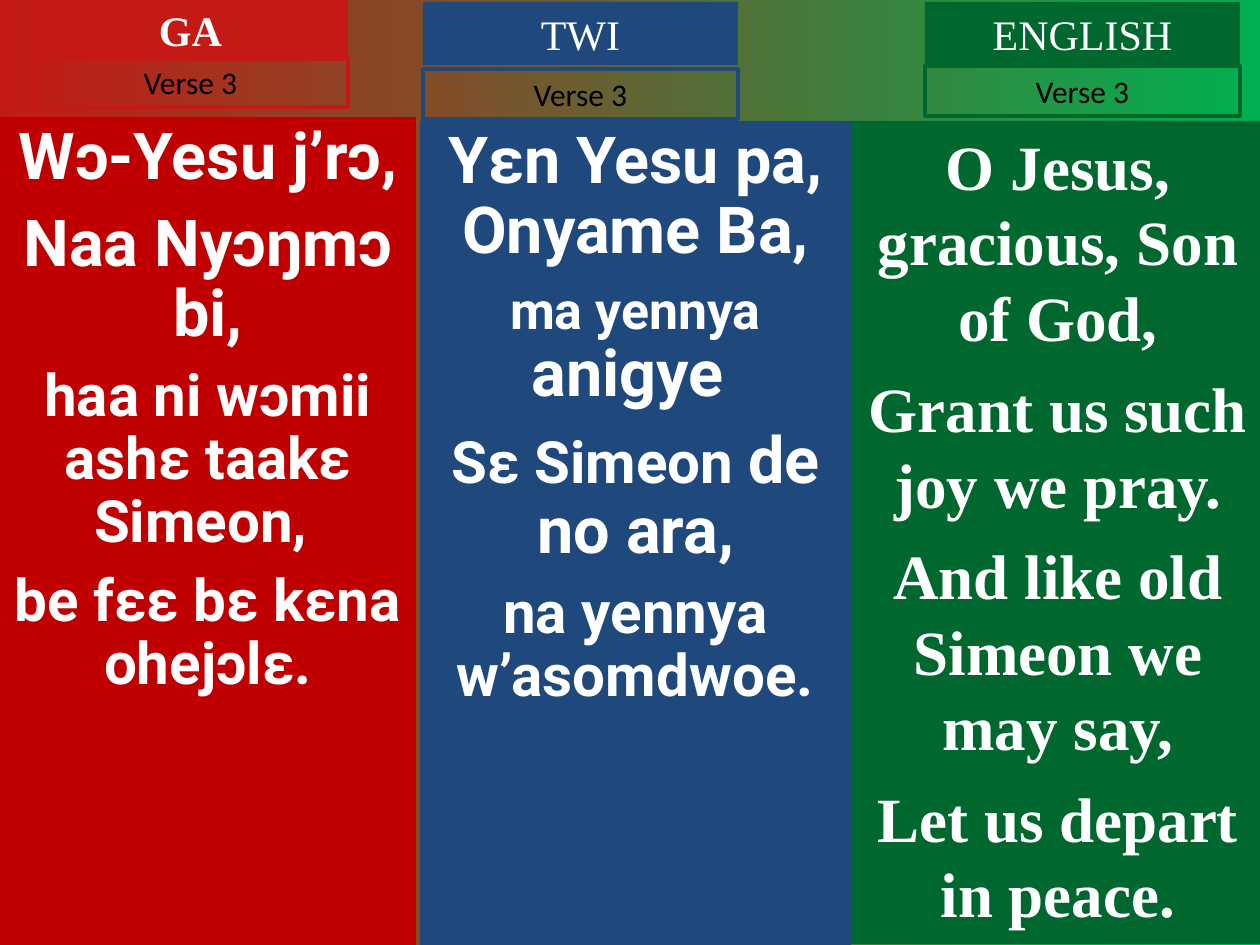
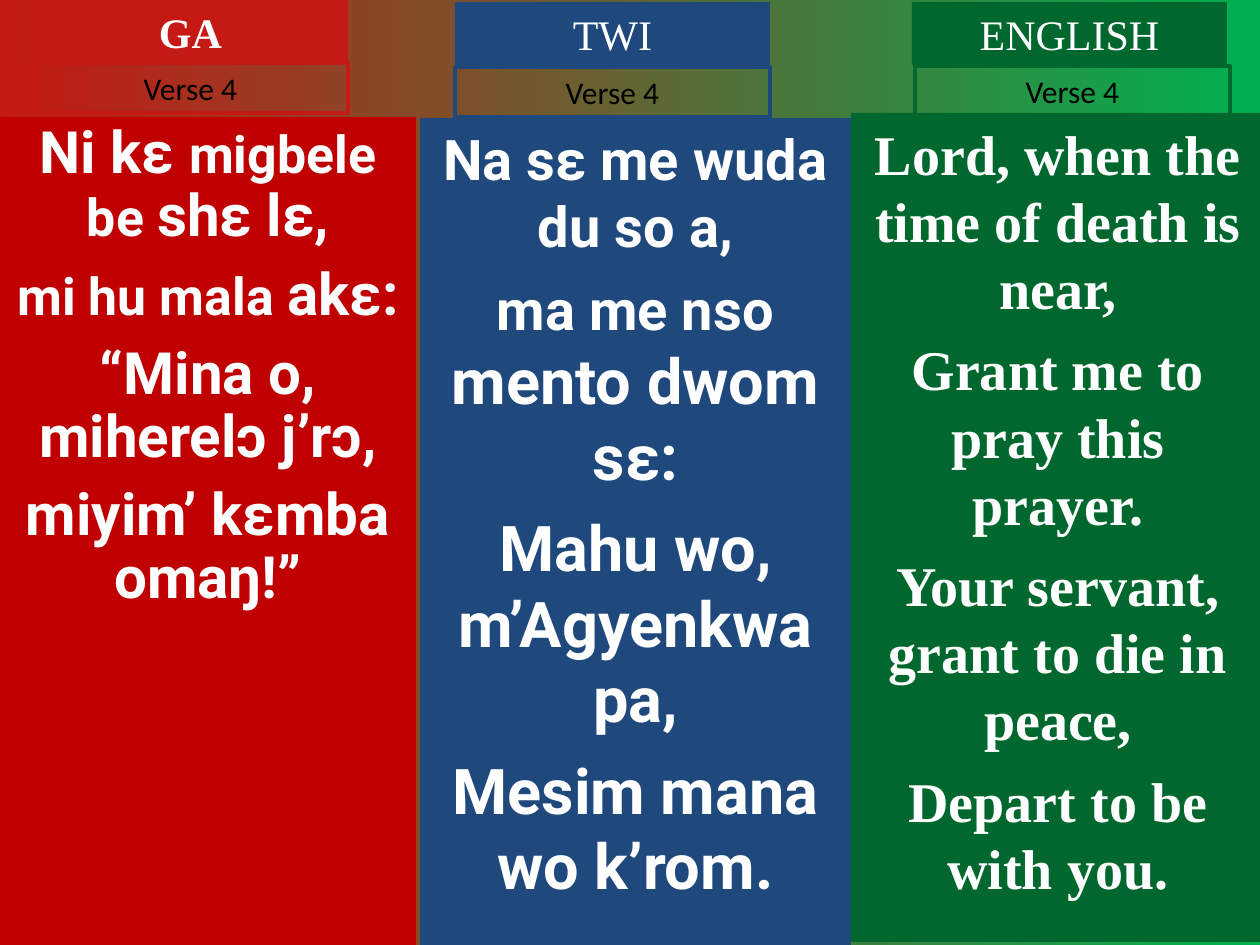
from pptx import Presentation
from pptx.dml.color import RGBColor
from pptx.enum.shapes import MSO_SHAPE
from pptx.enum.text import MSO_ANCHOR, MSO_AUTO_SIZE, PP_ALIGN
from pptx.oxml.ns import qn
from pptx.util import Emu, Pt
from lxml import etree

PX = 914400 / 126
RED, CRIMSON, BLUE, GREEN, LIME = "C51915", "C00000", "1F497D", "00682F", "00B050"
WHITE, BLACK = "FFFFFF", "000000"
SERIF, SANS, LABEL = "Times New Roman", "Roboto", "Calibri"
HEAD_W, HEAD_H, VERSE_H = 315, 63, 50

VERSES = [
    {
        "label": "Verse 3",
        "ga": [
            [("Wɔ-Yesu j’rɔ,", 37)],
            [("Naa Nyɔŋmɔ bi,", 37)],
            [("haa ni wɔmii ashɛ taakɛ Simeon, ", 33.3)],
            [("be fɛɛ bɛ kɛna ohejɔlɛ.", 33.3)],
        ],
        "twi": [
            [("Yɛn Yesu pa, Onyame Ba,", 37)],
            [("ma yennya ", 29.6), ("anigye ", 37)],
            [("Sɛ Simeon ", 33.3), ("de no ara,", 37)],
            [("na yennya w’asomdwoe.", 33.3)],
        ],
        "english": [
            [("O Jesus, gracious, Son of God,", 36)],
            [("Grant us such joy we pray.", 36)],
            [("And like old Simeon we may say,", 36)],
            [("Let us depart in peace.", 36)],
        ],
        "twi_spacing": 0.9,
        "twi_box": (420, 121, 431, 824),
        "english_box": (851, 121, 414, 823),
        "heads": [(33, -2), (423, 2), (925, 2)],
        "labels": [(33, 57), (423, 69), (925, 66)],
    },
    {
        "label": "Verse 4",
        "ga": [
            [("Ni kɛ ", 33.3), ("migbele be ", 29.6), ("shɛ lɛ,", 33.3)],
            [("mi hu mala ", 29.6), ("akɛ:", 33.3)],
            [("“Mina o, miherelɔ j’rɔ,", 33.3)],
            [("miyim’ kɛmba omaŋ!”", 33.3)],
        ],
        "twi": [
            [("Na sɛ me wuda du so a,", 32)],
            [("ma me nso ", 32), ("mento dwom sɛ:", 36)],
            [("Mahu wo, m’Agyenkwa pa,", 36)],
            [("Mesim mana wo k’rom.", 36)],
        ],
        "english": [
            [("Lord, when the time of death is near,", 32)],
            [("Grant me to pray this prayer.", 32)],
            [("Your servant, grant to die in peace,", 32)],
            [("Depart to be with you.", 32)],
        ],
        "twi_spacing": 1.0,
        "twi_box": (420, 118, 431, 827),
        "english_box": (851, 113, 414, 829),
        "heads": [(33, 0), (455, 2), (912, 2)],
        "labels": [(33, 63), (455, 67), (915, 66)],
    },
]


def px(n):
    return Emu(round(n * PX))


def rgb(value):
    return RGBColor.from_string(value)


def set_background(s):
    fill = s.background.fill
    fill.gradient()
    fill.gradient_angle = 0
    for stop, color, position in zip(fill.gradient_stops, (RED, LIME), (0, 1)):
        stop.color.rgb = rgb(color)
        stop.position = position


def place(sp, box):
    sp.left, sp.top, sp.width, sp.height = map(px, box)


def style_run(r, font, size, color, bold):
    r.font.name = font
    r.font.size = Pt(size)
    r.font.color.rgb = rgb(color)
    r.font.bold = bold


def prepare_frame(tf):
    tf.word_wrap = True
    tf.auto_size = MSO_AUTO_SIZE.NONE
    tf.vertical_anchor = MSO_ANCHOR.TOP


def add_rect(s, box):
    sp = s.shapes.add_shape(MSO_SHAPE.RECTANGLE, *map(px, box))
    sp.shadow.inherit = False
    sp.fill.background()
    sp.line.fill.background()
    prepare_frame(sp.text_frame)
    return sp


def add_caption(s, box, text, font, size, color, bold=False):
    sp = add_rect(s, box)
    sp.text_frame.text = text
    p = sp.text_frame.paragraphs[0]
    p.alignment = PP_ALIGN.CENTER
    style_run(p.runs[0], font, size, color, bold)
    return sp


def add_heading(s, at, text, color, bold):
    sp = add_caption(s, (*at, HEAD_W, HEAD_H), text, SERIF, 24, WHITE, bold)
    sp.fill.solid()
    sp.fill.fore_color.rgb = rgb(color)


def add_verse_label(s, at, text, color):
    sp = add_caption(s, (*at, HEAD_W, VERSE_H), text, LABEL, 18, BLACK)
    sp.line.color.rgb = rgb(color)
    sp.line.width = Pt(2.25)


def remove_bullet(p):
    pPr = p._p.get_or_add_pPr()
    pPr.set("marL", "0")
    pPr.set("indent", "0")
    etree.SubElement(pPr, qn("a:buNone"))


def fill_lyrics(sp, box, lines, color, font, spacing):
    place(sp, box)
    sp.fill.solid()
    sp.fill.fore_color.rgb = rgb(color)
    tf = sp.text_frame
    prepare_frame(tf)
    for i, line in enumerate(lines):
        p = tf.paragraphs[0] if i == 0 else tf.add_paragraph()
        remove_bullet(p)
        p.alignment = PP_ALIGN.CENTER
        p.line_spacing = spacing
        largest = max(size for _, size in line)
        p.space_before = Pt(round(largest * 0.26) if i else 0)
        for text, size in line:
            r = p.add_run()
            r.text = text
            style_run(r, font, size, WHITE, True)


def build_slide(prs, verse):
    s = prs.slides.add_slide(prs.slide_layouts.get_by_name("Two Content"))
    set_background(s)
    title = s.shapes.title._element
    title.getparent().remove(title)
    ga, twi = s.placeholders[1], s.placeholders[2]
    for sp in list(s.placeholders):
        if sp.placeholder_format.idx not in (1, 2):
            sp._element.getparent().remove(sp._element)
    fill_lyrics(ga, (0, 117, 416, 828), verse["ga"], CRIMSON, SANS, 0.9)
    fill_lyrics(twi, verse["twi_box"], verse["twi"], BLUE, SANS, verse["twi_spacing"])
    english = add_rect(s, verse["english_box"])
    fill_lyrics(english, verse["english_box"], verse["english"], GREEN, SERIF, 1.0)
    languages = [("GA", RED), ("TWI", BLUE), ("ENGLISH", GREEN)]
    for (name, color), head, label in zip(languages, verse["heads"], verse["labels"]):
        add_heading(s, head, name, color, name == "GA")
        add_verse_label(s, label, verse["label"], color)


def main():
    prs = Presentation()
    prs.slide_width, prs.slide_height = px(1260), px(945)
    for verse in VERSES:
        build_slide(prs, verse)
    prs.save("out.pptx")


if __name__ == "__main__":
    main()
